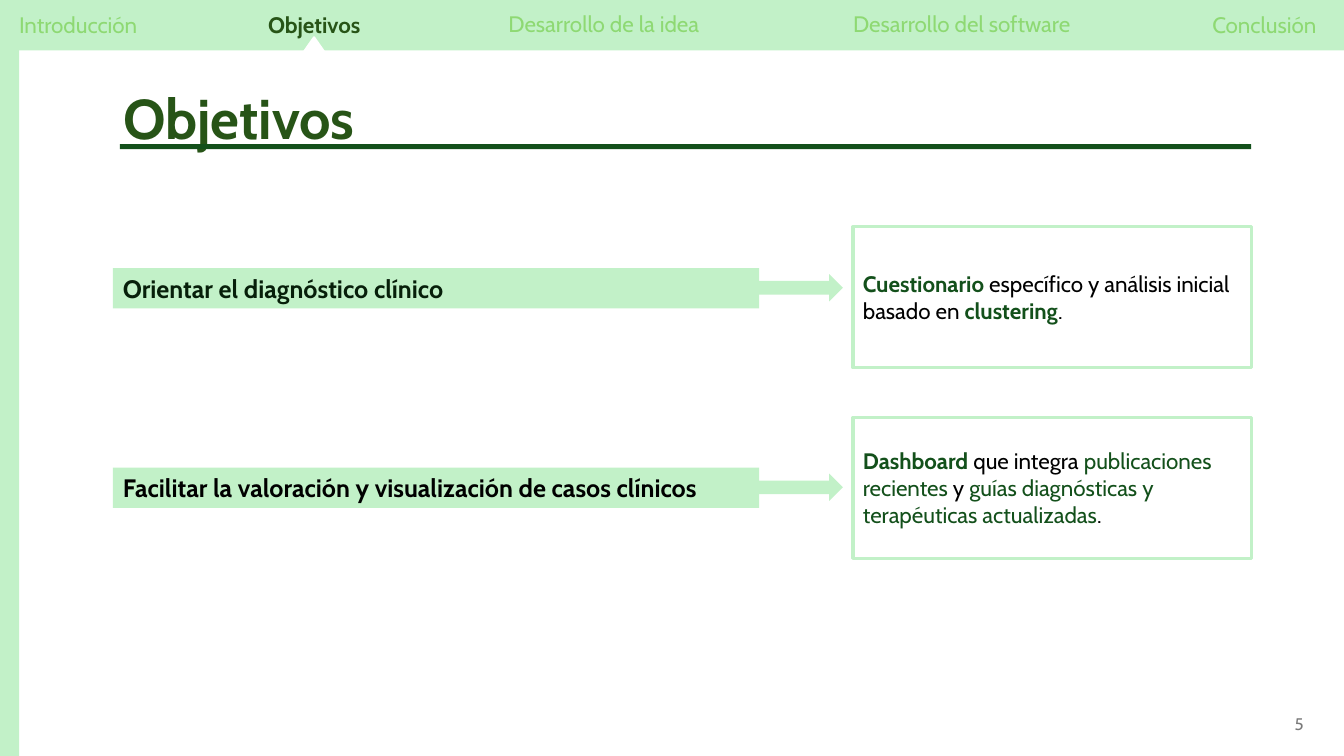
import pptx
import pptx.util
import pptx.dml.color
import pptx.enum.shapes
import pptx.enum.text

Inches = pptx.util.Inches
SHAPE = pptx.enum.shapes.MSO_SHAPE
ALIGN = pptx.enum.text.PP_ALIGN
ANCHOR = pptx.enum.text.MSO_ANCHOR

MINT, DARK, FOREST = "C2F1C8", "13501B", "275417"
LIME, BLACK, WHITE = "8ED973", "000000", "FFFFFF"

prs = pptx.Presentation()
prs.slide_width, prs.slide_height = Inches(13.33), Inches(7.5)
s = prs.slides.add_slide(prs.slide_layouts[5])


def add_box(kind, x, y, w, h, fill, line=None, line_width=2.25):
    sp = s.shapes.add_shape(kind, Inches(x), Inches(y), Inches(w), Inches(h))
    sp.shadow.inherit = False
    sp.fill.solid()
    sp.fill.fore_color.rgb = pptx.dml.color.RGBColor.from_string(fill)
    if line:
        sp.line.color.rgb = pptx.dml.color.RGBColor.from_string(line)
        sp.line.width = pptx.util.Pt(line_width)
    else:
        sp.line.fill.background()
    return sp


def write(sp, text, size=16, color=BLACK, bold=False, font="Cabin",
          align=ALIGN.LEFT, anchor=ANCHOR.TOP):
    """Text is a string, or a list of (text, format overrides) runs."""
    tf = sp.text_frame
    tf.word_wrap = True
    tf.auto_size = pptx.enum.text.MSO_AUTO_SIZE.NONE
    tf.vertical_anchor = anchor
    p = tf.paragraphs[0]
    p.alignment = align
    for part, own in [(text, {})] if isinstance(text, str) else text:
        r = p.add_run()
        r.text = part
        r.font.name = font
        r.font.size = pptx.util.Pt(size)
        r.font.bold = own.get("bold", bold)
        r.font.color.rgb = pptx.dml.color.RGBColor.from_string(own.get("color", color))


# Title and rule
title = s.shapes.title
title.left, title.top = Inches(1.12), Inches(0.83)
title.width, title.height = Inches(3.71), Inches(0.74)
write(title, "Objetivos", size=40, color=FOREST, bold=True, anchor=ANCHOR.MIDDLE)
title.text_frame.paragraphs[0].line_spacing = 0.9
add_box(SHAPE.RECTANGLE, 1.19, 1.43, 11.22, 0.05, DARK)

# Side strip and navigation bar
add_box(SHAPE.RECTANGLE, 0, 0, 0.19, 7.5, MINT)
add_box(SHAPE.RECTANGLE, 0, 0, 13.33, 0.5, MINT)
tabs = [
    ("Introducción", 0.09, 0.06, 1.58, ALIGN.LEFT),
    ("Objetivos", 2.56, 0.06, 1.25, ALIGN.LEFT),
    ("Desarrollo de la idea", 4.71, 0.05, 2.56, ALIGN.CENTER),
    ("Desarrollo del software", 8.16, 0.05, 2.76, ALIGN.CENTER),
    ("Conclusión", 11.82, 0.06, 1.44, ALIGN.CENTER),
]
for name, x, y, w, align in tabs:
    active = name == "Objetivos"
    tab = s.shapes.add_textbox(Inches(x), Inches(y), Inches(w), Inches(0.37))
    write(tab, name, color=FOREST if active else LIME, bold=active, align=align)
add_box(SHAPE.ISOSCELES_TRIANGLE, 3.01, 0.37, 0.21, 0.15, WHITE, WHITE, 1.5)

# Objectives: bar, arrow and result box
strong = {"color": DARK, "bold": True}
green = {"color": DARK}
objectives = [
    ("Orientar el diagnóstico clínico", "071F0A", 2.66, 2.25, [
        ("Cuestionario ", strong),
        ("específico y análisis inicial basado en ", {}),
        ("clustering", strong),
        (".", {}),
    ]),
    ("Facilitar la valoración y visualización de casos clínicos", BLACK, 4.64, 4.14, [
        ("Dashboard", strong),
        (" que integra ", {}),
        ("publicaciones recientes", green),
        (" y ", {}),
        ("guías diagnósticas y terapéuticas actualizadas", green),
        (".", {}),
    ]),
]
for goal, color, bar_y, box_y, result in objectives:
    bar = add_box(SHAPE.RECTANGLE, 1.12, bar_y, 6.41, 0.4, MINT)
    write(bar, goal, size=18, color=color, bold=True)
    add_box(SHAPE.RIGHT_ARROW, 7.53, bar_y + 0.06, 0.83, 0.27, MINT)
    box = add_box(SHAPE.RECTANGLE, 8.46, box_y, 3.95, 1.4, WHITE, MINT)
    write(box, result, anchor=ANCHOR.MIDDLE)

# Page number
page = s.shapes.add_textbox(Inches(12.43), Inches(6.98), Inches(0.6), Inches(0.4))
write(page, "5", size=12, color="797979", align=ALIGN.RIGHT, anchor=ANCHOR.MIDDLE)

prs.save("out.pptx")
